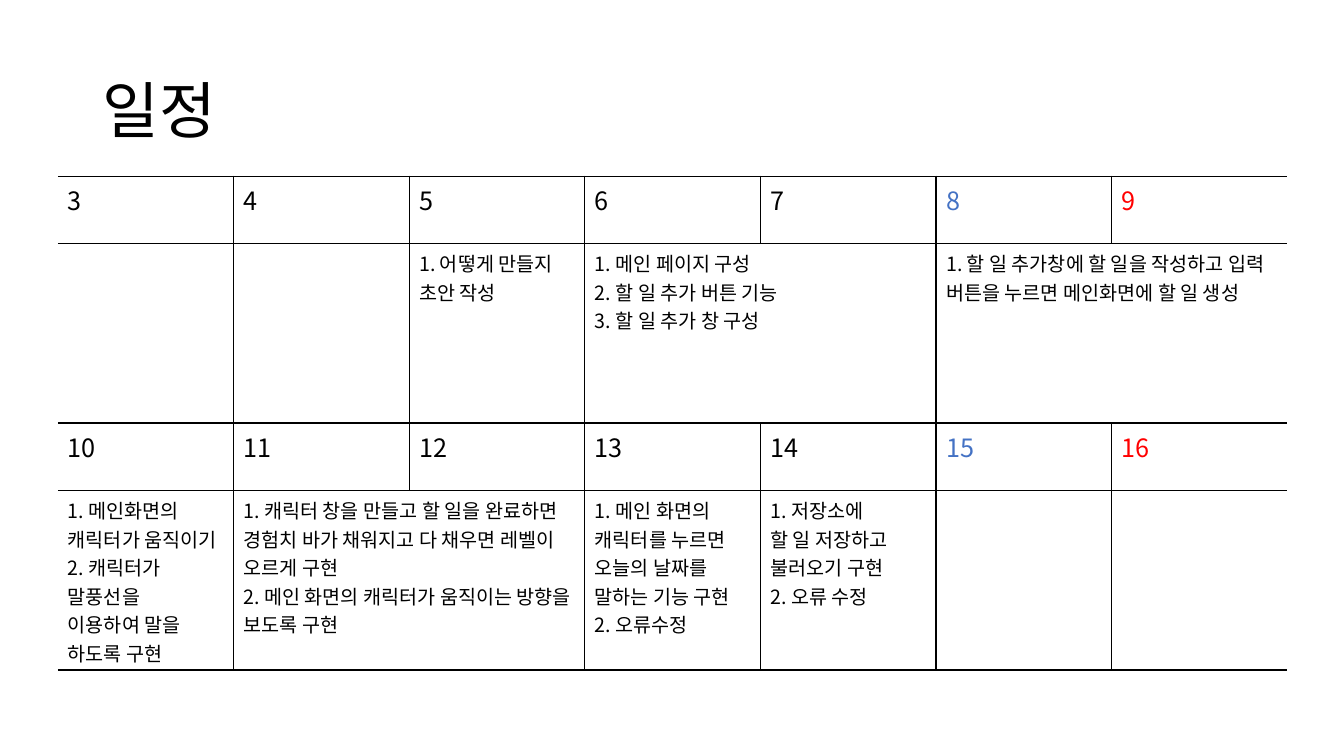
from dataclasses import dataclass

from lxml.etree import SubElement
from pptx import Presentation
from pptx.dml.color import RGBColor as RGB
from pptx.enum.text import MSO_ANCHOR as Anchor
from pptx.oxml.ns import qn
from pptx.util import Inches, Pt


@dataclass(frozen=True)
class Theme:
    """Colours, font and type sizes of the schedule."""
    font: str = "Noto Sans CJK KR"
    ink: str = "000000"
    saturday: str = "4472C4"
    sunday: str = "FF0000"
    title: int = 44
    day: int = 18
    task: int = 14
    rule: int = 1


T = Theme()
W, H = 13.33, 7.5
DAYS = 7
ROWS = (0.67, 1.78) * 2
TITLE_BOX = (0.069 * W, 0.053 * H, 0.863 * W, 0.193 * H)
CALENDAR_BOX = (0.043 * W, 0.233 * H, 0.915 * W, sum(ROWS))

WEEKS = [
    (3, [
        (2, 1, ["1. 어떻게 만들지 초안 작성"]),
        (3, 2, ["1. 메인 페이지 구성 ", "2. 할 일 추가 버튼 기능", "3. 할 일 추가 창 구성"]),
        (5, 2, ["1. 할 일 추가창에 할 일을 작성하고 입력 버튼을 누르면 메인화면에 할 일 생성"]),
    ]),
    (10, [
        (0, 1, ["1. 메인화면의 캐릭터가 움직이기", "2. 캐릭터가", "말풍선을",
                "이용하여 말을 하도록 구현"]),
        (1, 2, ["1. 캐릭터 창을 만들고 할 일을 완료하면 경험치 바가 채워지고 다 채우면 레벨이 오르게 구현",
                "2. 메인 화면의 캐릭터가 움직이는 방향을 보도록 구현"]),
        (3, 1, ["1. 메인 화면의 캐릭터를 누르면 오늘의 날짜를 말하는 기능 구현", "2. 오류수정"]),
        (4, 1, ["1. 저장소에 ", "할 일 저장하고", "불러오기 구현", "2. 오류 수정"]),
    ]),
]


def write(tf, lines, size, color=T.ink):
    """Fill a text frame with one styled paragraph per line."""
    tf.text = "\n".join(lines)
    for p in tf.paragraphs:
        f = p.font
        f.name, f.size = T.font, Pt(size)
        f.color.rgb = RGB.from_string(color)
        SubElement(f._element, qn("a:ea")).set("typeface", T.font)


def rule_cell(cell, left, right):
    """Rule a cell above and below, and at the sides asked for."""
    tcPr = cell._tc.get_or_add_tcPr()
    for side, shown in (("L", left), ("R", right), ("T", True), ("B", True)):
        ln = SubElement(tcPr, qn(f"a:ln{side}"), w=str(Pt(T.rule)))
        fill = SubElement(ln, qn("a:solidFill" if shown else "a:noFill"))
        if shown:
            SubElement(fill, qn("a:srgbClr"), val=T.ink)
    cell.fill.background()


def add_title(s, box, text):
    """Place the slide title in its box."""
    tf = s.shapes.add_textbox(*map(Inches, box)).text_frame
    tf.word_wrap, tf.vertical_anchor = True, Anchor.MIDDLE
    write(tf, [text], T.title)
    tf.paragraphs[0].line_spacing = 0.9


def add_calendar(s, box, weeks):
    """Place a table with a date row and a task row for each week."""
    tbl = s.shapes.add_table(len(ROWS), DAYS, *map(Inches, box)).table
    tbl.first_row = tbl.horz_banding = False
    for row, height in zip(tbl.rows, ROWS):
        row.height = Inches(height)
    for col in tbl.columns:
        col.width = Inches(box[2] / DAYS)
    colors = [T.ink] * (DAYS - 2) + [T.saturday, T.sunday]
    for w, (first, tasks) in enumerate(weeks):
        for d, color in enumerate(colors):
            write(tbl.cell(2 * w, d).text_frame, [str(first + d)], T.day, color)
        for d, span, lines in tasks:
            cell = tbl.cell(2 * w + 1, d)
            if span > 1:
                cell.merge(tbl.cell(2 * w + 1, d + span - 1))
            write(cell.text_frame, lines, T.task)
    for row in tbl.rows:
        for d, cell in enumerate(row.cells):
            end = d + (cell.span_width if cell.is_merge_origin else 1)
            rule_cell(cell, d > 0 and not cell.is_spanned, end < DAYS)


def schedule_slide(prs):
    """Add the schedule slide."""
    s = prs.slides.add_slide(prs.slide_layouts[6])
    add_title(s, TITLE_BOX, "일정")
    add_calendar(s, CALENDAR_BOX, WEEKS)


prs = Presentation()
prs.slide_width, prs.slide_height = Inches(W), Inches(H)
schedule_slide(prs)
prs.save("out.pptx")
